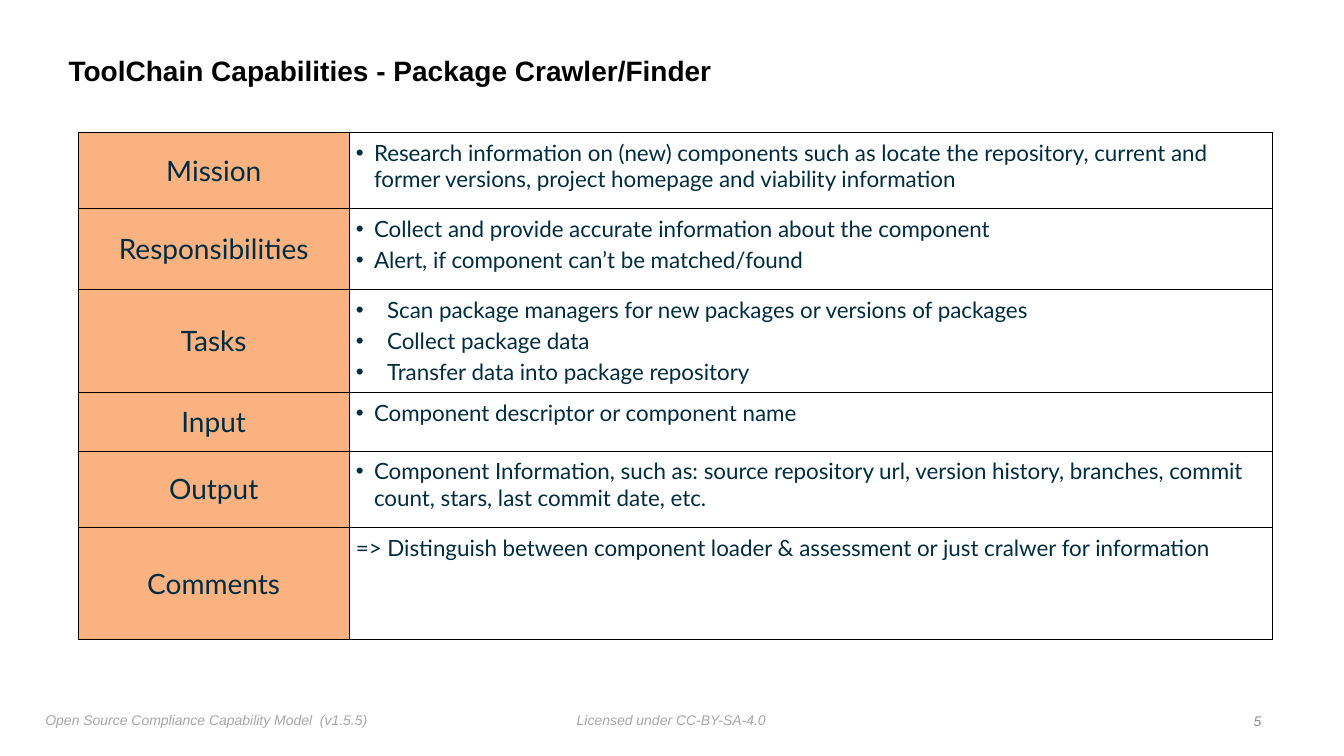
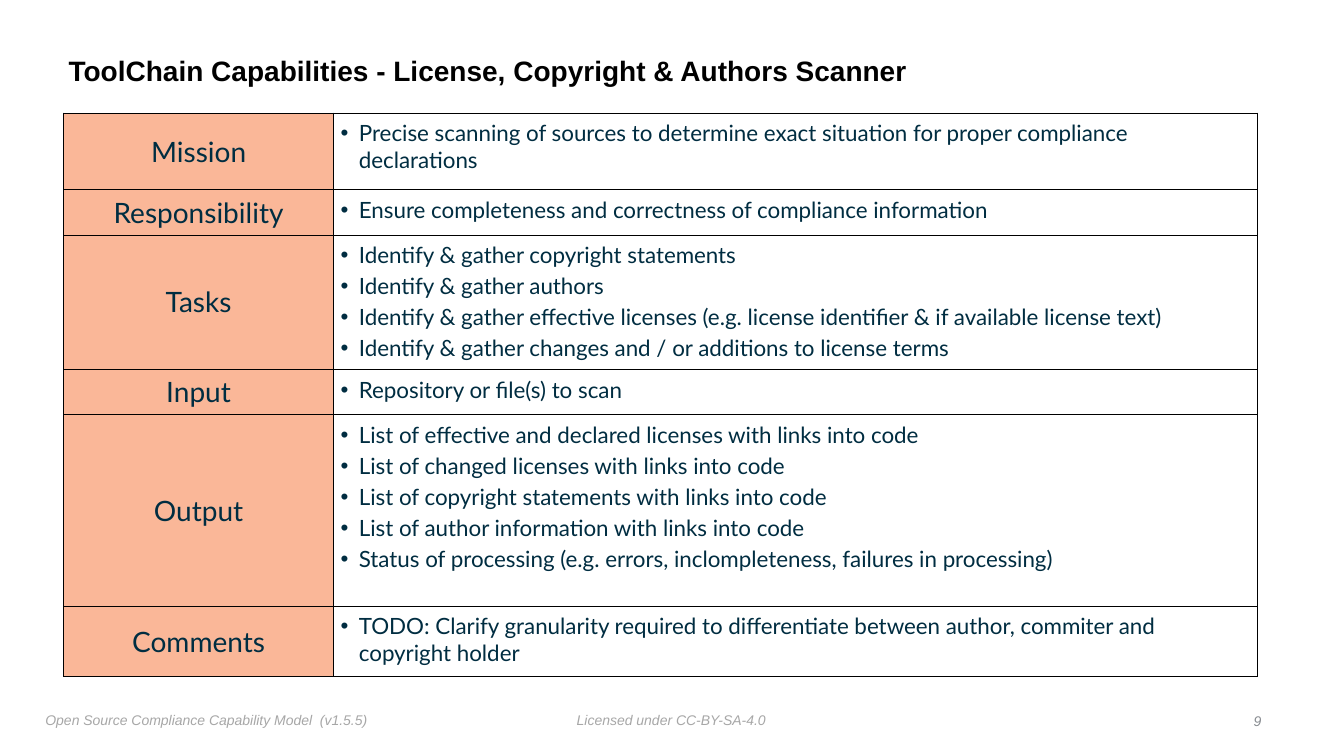
from dataclasses import dataclass

from lxml import etree
from pptx import Presentation
from pptx.dml.color import RGBColor
from pptx.enum.text import MSO_ANCHOR, PP_ALIGN
from pptx.oxml.ns import qn
from pptx.util import Inches, Pt

LEFT, CENTER, RIGHT = PP_ALIGN.LEFT, PP_ALIGN.CENTER, PP_ALIGN.RIGHT
TOP, MIDDLE = MSO_ANCHOR.TOP, MSO_ANCHOR.MIDDLE

BLACK = RGBColor(0x00, 0x00, 0x00)
WHITE = RGBColor(0xFF, 0xFF, 0xFF)
NAVY = RGBColor(0x00, 0x2D, 0x41)
FOOTER_GRAY = RGBColor(0xA7, 0xA7, 0xA7)
NUMBER_GRAY = RGBColor(0x88, 0x8C, 0x91)
ORANGE = RGBColor(0xFA, 0xB2, 0x81)
PEACH = RGBColor(0xFA, 0xB7, 0x98)

HEAD_FONT = "Arial"
TABLE_FONT = "Lato"
COLUMN_WIDTHS = (2.68, 9.16)


@dataclass(frozen=True)
class Style:
    font: str
    size: float
    color: RGBColor
    bold: bool = False
    italic: bool = False


@dataclass(frozen=True)
class Row:
    label: str
    height: float
    lines: tuple[str, ...]
    hang: float = 0.18


@dataclass(frozen=True)
class Capability:
    title: str
    number: int
    left: float
    top: float
    label_fill: RGBColor
    rows: tuple[Row, ...]


TITLE = Style(HEAD_FONT, 20, BLACK, bold=True)
FOOTER = Style(HEAD_FONT, 10, FOOTER_GRAY, italic=True)
NUMBER = Style(HEAD_FONT, 10, NUMBER_GRAY, italic=True)
LABEL = Style(TABLE_FONT, 20, NAVY)
BODY = Style(TABLE_FONT, 16, NAVY)

CAPABILITIES = (
    Capability("Package Crawler/Finder", 5, 0.78, 1.31, ORANGE, (
        Row("Mission", 0.76, (
            "Research information on (new) components such as locate the repository, "
            "current and former versions, project homepage and viability information",
        )),
        Row("Responsibilities", 0.8, (
            "Collect and provide accurate information about the component",
            "Alert, if component can’t be matched/found",
        )),
        Row("Tasks", 1.02, (
            "Scan package managers for new packages or versions of packages",
            "Collect package data",
            "Transfer data into package repository",
        ), hang=0.31),
        Row("Input", 0.58, ("Component descriptor or component name",)),
        Row("Output", 0.76, (
            "Component Information, such as: source repository url, version history, "
            "branches, commit count, stars, last commit date, etc.",
        )),
        Row("Comments", 1.11, (
            "=> Distinguish between component loader & assessment "
            "or just cralwer for information",
        ), hang=0),
    )),
    Capability("License, Copyright & Authors Scanner", 9, 0.63, 1.12, PEACH, (
        Row("Mission", 0.76, (
            "Precise scanning of sources to determine exact situation "
            "for proper compliance declarations",
        )),
        Row("Responsibility", 0.45, (
            "Ensure completeness and correctness of compliance information",
        )),
        Row("Tasks", 1.33, (
            "Identify & gather copyright statements",
            "Identify & gather authors",
            "Identify & gather effective licenses "
            "(e.g. license identifier & if available license text)",
            "Identify & gather changes and / or additions to license terms",
        )),
        Row("Input", 0.45, ("Repository or file(s) to scan",)),
        Row("Output", 1.9, (
            "List of effective and declared licenses with links into code",
            "List of changed licenses with links into code",
            "List of copyright statements with links into code",
            "List of author information with links into code",
            "Status of processing (e.g. errors, inclompleteness, failures in processing)",
        )),
        Row("Comments", 0.7, (
            "TODO: Clarify granularity required to differentiate between author, "
            "commiter and copyright holder",
        )),
    )),
)


def format_runs(p, style: Style) -> None:
    for r in p.runs:
        r.font.name = style.font
        r.font.size = Pt(style.size)
        r.font.bold = style.bold
        r.font.italic = style.italic
        r.font.color.rgb = style.color


def add_text(s, text: str, box: tuple[float, float, float, float], style: Style,
             align=LEFT, anchor=TOP, wrap: bool = False):
    tf = s.shapes.add_textbox(*map(Inches, box)).text_frame
    tf.margin_left = tf.margin_right = tf.margin_top = tf.margin_bottom = Inches(0.05)
    tf.word_wrap = wrap
    tf.vertical_anchor = anchor
    tf.text = text
    p = tf.paragraphs[0]
    p.alignment = align
    format_runs(p, style)
    return p


def add_bullet(p, hang: float) -> None:
    pPr = p._p.get_or_add_pPr()
    pPr.set("marL", str(Inches(hang)))
    pPr.set("indent", str(-Inches(hang)))
    etree.SubElement(pPr, qn("a:buFont"), typeface="Arial")
    etree.SubElement(pPr, qn("a:buChar"), char="•")


def style_cell(cell, fill: RGBColor, margin: float, anchor) -> None:
    tcPr = cell._tc.get_or_add_tcPr()
    for side in ("lnL", "lnR", "lnT", "lnB"):
        ln = etree.SubElement(tcPr, qn(f"a:{side}"), w=str(Pt(0.5)))
        line_fill = etree.SubElement(ln, qn("a:solidFill"))
        etree.SubElement(line_fill, qn("a:srgbClr"), val=str(BLACK))
    cell.fill.solid()
    cell.fill.fore_color.rgb = fill
    cell.margin_left = cell.margin_right = Inches(margin)
    cell.margin_top = cell.margin_bottom = Inches(margin)
    cell.vertical_anchor = anchor


def fill_label(cell, text: str, fill: RGBColor) -> None:
    style_cell(cell, fill, 0, MIDDLE)
    cell.text_frame.text = text
    p = cell.text_frame.paragraphs[0]
    p.alignment = CENTER
    format_runs(p, LABEL)


def fill_body(cell, row: Row) -> None:
    style_cell(cell, WHITE, 0.07, TOP)
    tf = cell.text_frame
    tf.text = "\n".join(row.lines)
    for i, p in enumerate(tf.paragraphs):
        if row.hang:
            add_bullet(p, row.hang)
        if i:
            p.space_before = Pt(3)
        format_runs(p, BODY)


def add_capability_table(s, capability: Capability) -> None:
    rows = capability.rows
    size = (sum(COLUMN_WIDTHS), sum(row.height for row in rows))
    table = s.shapes.add_table(
        len(rows), len(COLUMN_WIDTHS),
        *map(Inches, (capability.left, capability.top, *size))).table
    table.first_row = table.horz_banding = False
    for column, width in zip(table.columns, COLUMN_WIDTHS):
        column.width = Inches(width)
    for i, row in enumerate(rows):
        table.rows[i].height = Inches(row.height)
        fill_label(table.cell(i, 0), row.label, capability.label_fill)
        fill_body(table.cell(i, 1), row)


def add_capability_slide(prs, capability: Capability) -> None:
    s = prs.slides.add_slide(prs.slide_layouts[6])
    add_text(s, "Licensed under CC-BY-SA-4.0", (5.67, 7.01, 1.99, 0.25), FOOTER)
    add_text(s, "Open Source Compliance Capability Model  (v1.5.5)",
             (0.4, 7.01, 3.32, 0.27), FOOTER)
    p = add_text(s, f"ToolChain Capabilities - {capability.title}",
                 (0.63, 0.39, 10.75, 0.65), TITLE, anchor=MIDDLE, wrap=True)
    p.line_spacing = 0.9
    add_capability_table(s, capability)
    add_text(s, str(capability.number), (12.37, 7.03, 0.19, 0.25), NUMBER,
             align=RIGHT, anchor=MIDDLE)


def main() -> None:
    prs = Presentation()
    prs.slide_width, prs.slide_height = Inches(13.33), Inches(7.5)
    for capability in CAPABILITIES:
        add_capability_slide(prs, capability)
    prs.save("out.pptx")


if __name__ == "__main__":
    main()
